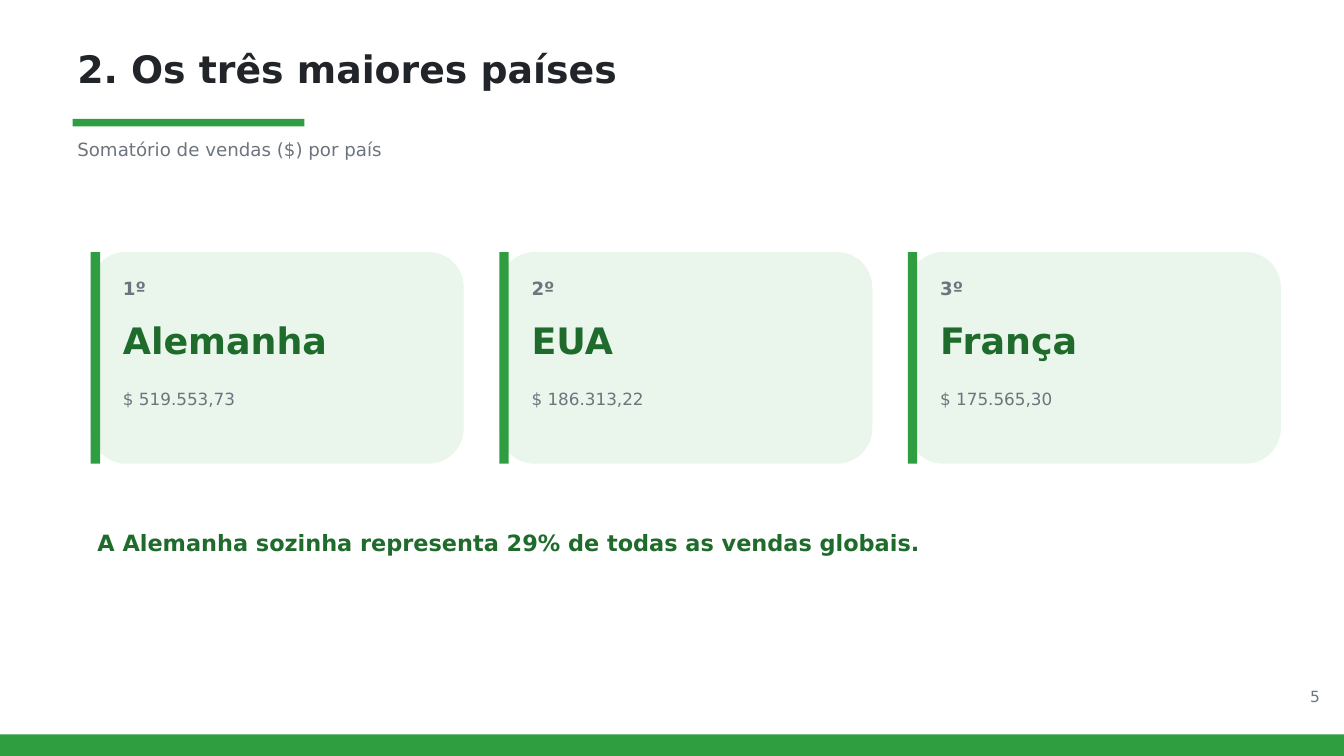
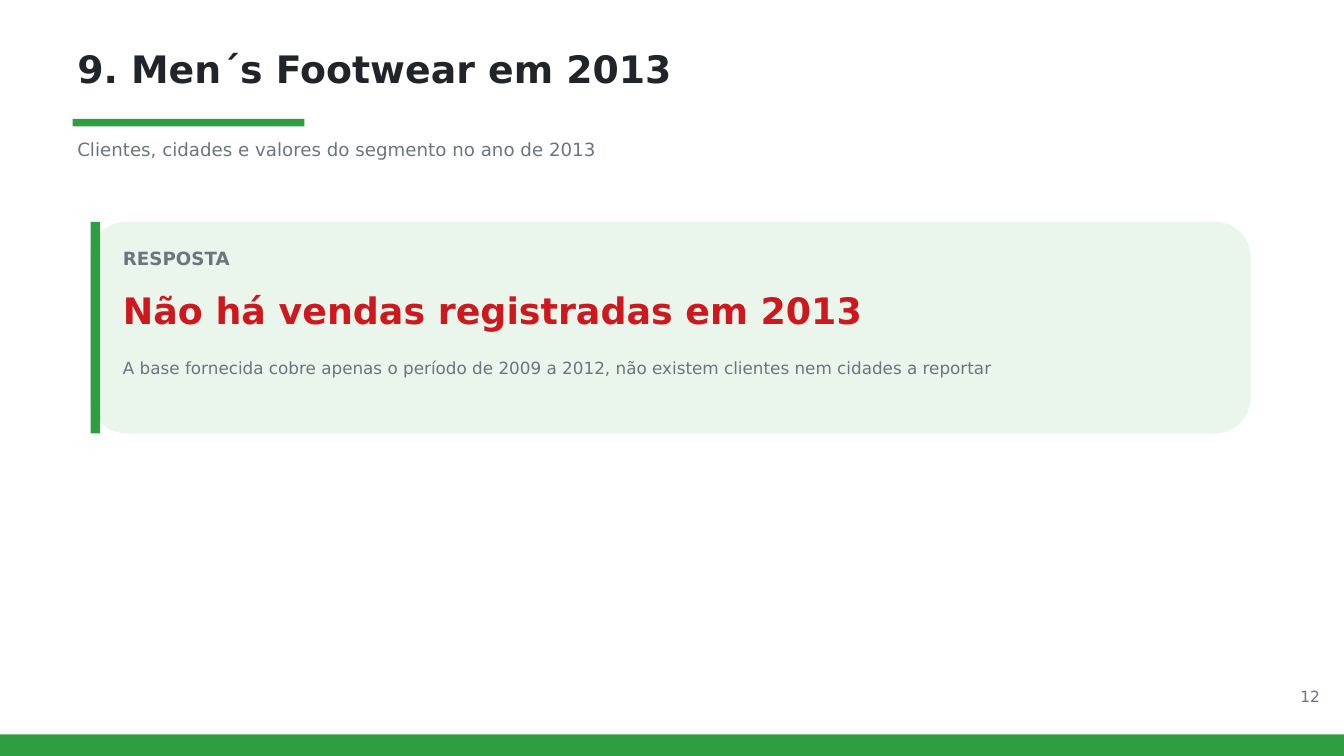
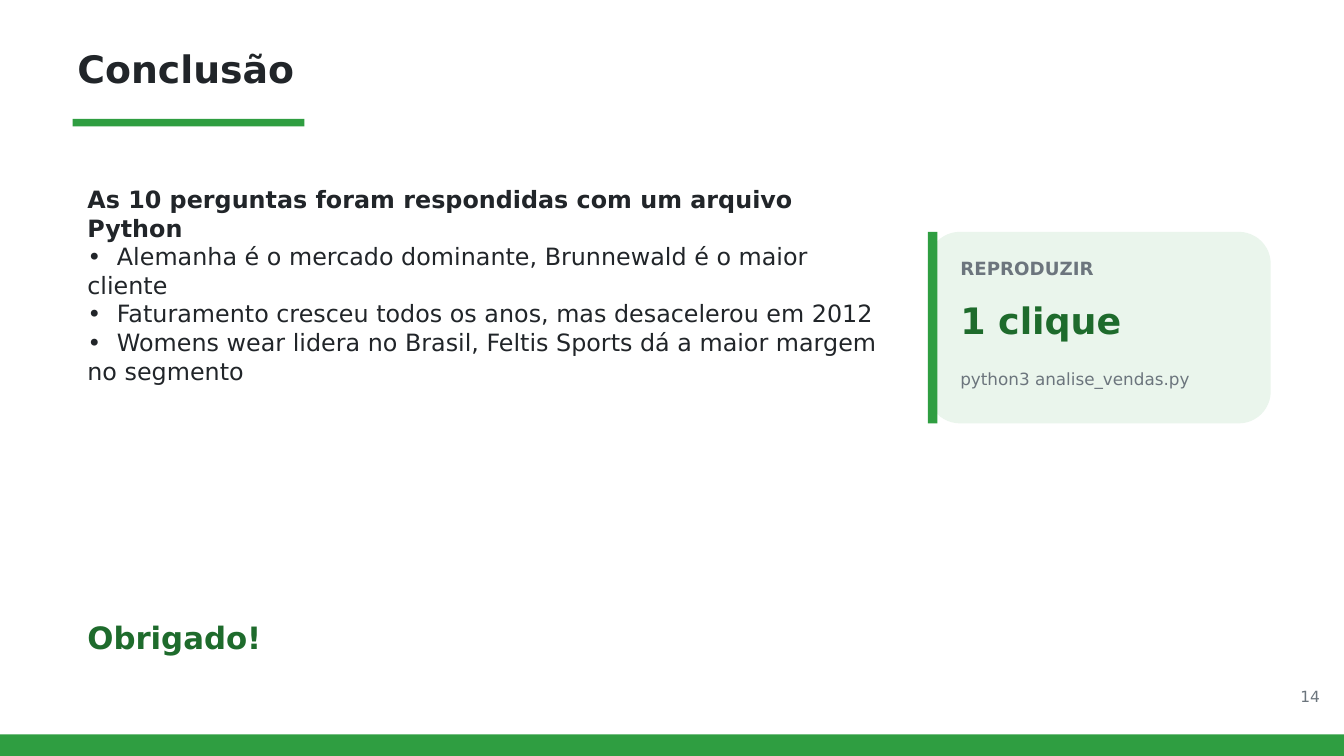
"""Build three sales analysis slides: top countries, 2013 segment and conclusion."""
from lxml.etree import SubElement
from pptx import Presentation
from pptx.dml.color import RGBColor
from pptx.enum.shapes import MSO_SHAPE
from pptx.enum.text import MSO_ANCHOR, PP_ALIGN
from pptx.oxml.ns import qn
from pptx.util import Emu, Pt

PX = 9144
WIDTH, HEIGHT = 2000, 1125
FONT = "DejaVu Sans"
GREEN, DARK_GREEN, PALE_GREEN = "2F9E41", "1E6B2C", "EAF5EC"
INK, GRAY, RED, WHITE = "212529", "6C757D", "CD191E", "FFFFFF"

TITLE_SIZE, SUBTITLE_SIZE, NUMBER_SIZE = 40.5, 19.5, 16.5
LABEL_SIZE, VALUE_SIZE, NOTE_SIZE = 19.5, 39, 18
BODY_SIZE, BULLET_TAB = 25.5, 44

COUNTRIES = {
    "title": "2. Os três maiores países",
    "subtitle": "Somatório de vendas ($) por país",
    "number": 5,
    "cards": [
        ("1º", "Alemanha", "$ 519.553,73"),
        ("2º", "EUA", "$ 186.313,22"),
        ("3º", "França", "$ 175.565,30"),
    ],
    "message": "A Alemanha sozinha representa 29% de todas as vendas globais.",
}
FOOTWEAR = {
    "title": "9. Men´s Footwear em 2013",
    "subtitle": "Clientes, cidades e valores do segmento no ano de 2013",
    "number": 12,
    "card": (
        "RESPOSTA",
        "Não há vendas registradas em 2013",
        "A base fornecida cobre apenas o período de 2009 a 2012, "
        "não existem clientes nem cidades a reportar",
    ),
}
CONCLUSION = {
    "title": "Conclusão",
    "subtitle": None,
    "number": 14,
    "heading": "As 10 perguntas foram respondidas com um arquivo Python",
    "bullets": [
        "Alemanha é o mercado dominante, Brunnewald é o maior cliente",
        "Faturamento cresceu todos os anos, mas desacelerou em 2012",
        "Womens wear lidera no Brasil, Feltis Sports dá a maior margem no segmento",
    ],
    "card": ("REPRODUZIR", "1 clique", "python3 analise_vendas.py"),
    "thanks": "Obrigado!",
}


def color(value):
    return RGBColor.from_string(value)


def place(*lengths):
    return [Emu(length * PX) for length in lengths]


def add_block(slide, box, fill, preset=MSO_SHAPE.RECTANGLE):
    shape = slide.shapes.add_shape(preset, *place(*box))
    shape.shadow.inherit = False
    shape.fill.solid()
    shape.fill.fore_color.rgb = color(fill)
    shape.line.fill.background()


def add_frame(slide, box):
    frame = slide.shapes.add_textbox(*place(*box)).text_frame
    frame.word_wrap = True
    frame.vertical_anchor = MSO_ANCHOR.TOP
    frame.margin_left = frame.margin_right = frame.margin_top = frame.margin_bottom = 0
    return frame


def write(paragraph, text, size, ink, bold=False, align=PP_ALIGN.LEFT, tab=None):
    paragraph.text = text
    paragraph.alignment = align
    paragraph.line_spacing = Pt(size * 1.2)
    if tab:
        stops = SubElement(paragraph._p.get_or_add_pPr(), qn("a:tabLst"))
        SubElement(stops, qn("a:tab"), pos=str(tab * PX), algn="l")
    font = paragraph.font
    font.name, font.size, font.bold = FONT, Pt(size), bold
    font.color.rgb = color(ink)


def add_text(slide, box, *style, **options):
    write(add_frame(slide, box).paragraphs[0], *style, **options)


def add_card(slide, box, texts, value_ink=DARK_GREEN):
    left, top, width, height = box
    label, value, note = texts
    add_block(slide, box, PALE_GREEN, MSO_SHAPE.ROUNDED_RECTANGLE)
    add_block(slide, (left, top, 14, height), GREEN)
    rows = [
        (38, 58, label, LABEL_SIZE, GRAY, True),
        (99, 94, value, VALUE_SIZE, value_ink, True),
        (203, 65, note, NOTE_SIZE, GRAY, False),
    ]
    for offset, row_height, *style in rows:
        add_text(slide, (left + 48, top + offset, width - 80, row_height), *style)


def add_slide(presentation, content):
    slide = presentation.slides.add_slide(presentation.slide_layouts[6])
    slide.background.fill.solid()
    slide.background.fill.fore_color.rgb = color(WHITE)
    add_text(slide, (115, 68, 1421, 125), content["title"], TITLE_SIZE, INK, True)
    add_block(slide, (108, 177, 345, 11), GREEN)
    if content["subtitle"]:
        add_text(slide, (115, 206, 1631, 65), content["subtitle"], SUBTITLE_SIZE, GRAY)
    add_block(slide, (0, 1093, WIDTH, HEIGHT - 1093), GREEN)
    add_text(slide, (1864, 1023, 100, 50), str(content["number"]), NUMBER_SIZE, GRAY,
             align=PP_ALIGN.RIGHT)
    return slide


def build_countries(presentation):
    slide = add_slide(presentation, COUNTRIES)
    card_width, gap = 555, 53
    for index, texts in enumerate(COUNTRIES["cards"]):
        add_card(slide, (135 + index * (card_width + gap), 375, card_width, 315), texts)
    add_text(slide, (145, 787, 1706, 64), COUNTRIES["message"], 24, DARK_GREEN, True)


def build_footwear(presentation):
    slide = add_slide(presentation, FOOTWEAR)
    add_card(slide, (135, 330, 1726, 315), FOOTWEAR["card"], RED)


def build_conclusion(presentation):
    slide = add_slide(presentation, CONCLUSION)
    frame = add_frame(slide, (130, 275, 1181, 292))
    write(frame.paragraphs[0], CONCLUSION["heading"], BODY_SIZE, INK, True)
    for text in CONCLUSION["bullets"]:
        write(frame.add_paragraph(), f"•\t{text}", BODY_SIZE, INK, tab=BULLET_TAB)
    add_card(slide, (1381, 345, 510, 285), CONCLUSION["card"])
    add_text(slide, (130, 921, 1706, 80), CONCLUSION["thanks"], 33, DARK_GREEN, True)


def main():
    presentation = Presentation()
    presentation.slide_width, presentation.slide_height = place(WIDTH, HEIGHT)
    build_countries(presentation)
    build_footwear(presentation)
    build_conclusion(presentation)
    presentation.save("out.pptx")


if __name__ == "__main__":
    main()
